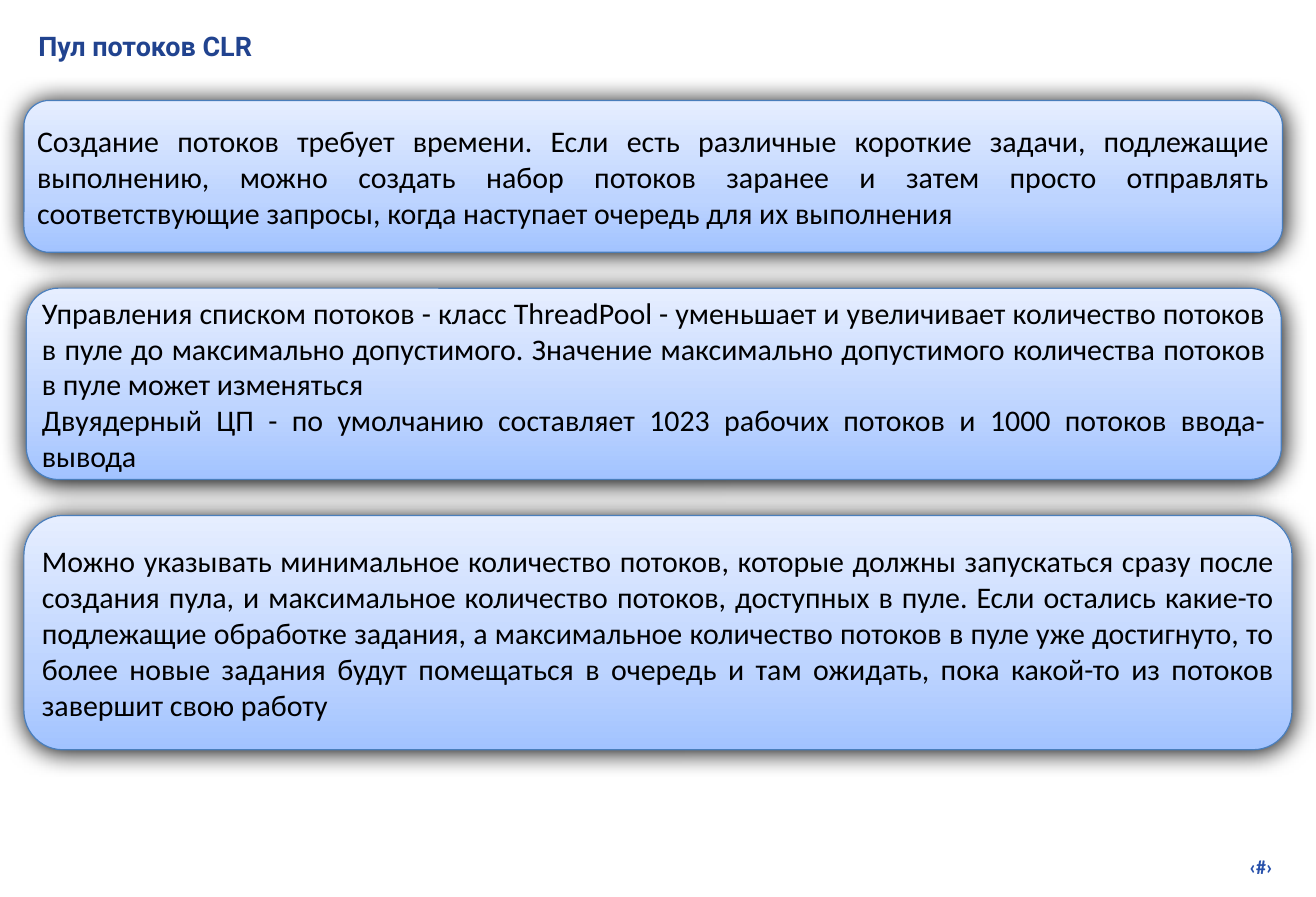
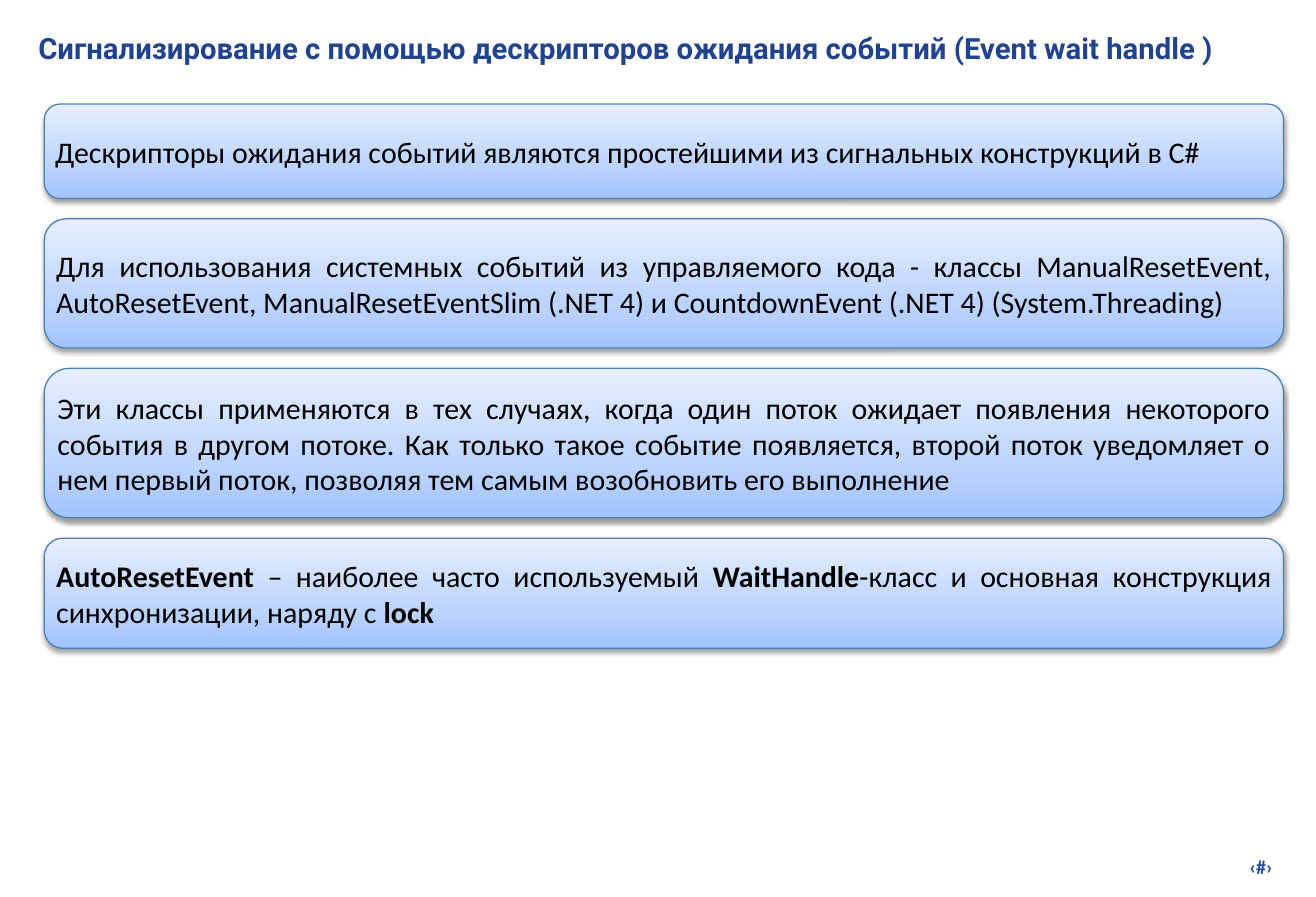
import pptx
import pptx.dml.color
import pptx.enum.shapes
import pptx.enum.text
import pptx.oxml
import pptx.oxml.ns
import pptx.util

PX = 9144  # EMU: 100 px to the inch
TITLE_COLOR = "21438F"
NUMBER_COLOR = "2750AB"
TEXT_COLOR = "000000"
CARD_LINE = "4A7EBB"
CARD_STOPS = [(0, "A2C3FF"), (35, "BDD4FF"), (100, "E6EEFF")]
CORNER = 0.167
CORNER_INSET = 0.049  # share of the card height kept clear at each side
LINE_HEIGHT = 31
PADDING = 5

# opacity in percent, blur and distance in points
WIDE_SHADOW = (100, 15, 0.7)
TIGHT_SHADOW = (38, 3, 1.6)

# Each card: left, width, height, number of text lines, paragraphs (** marks bold)
POOL_CARDS = [
    (20, 1052, 127, 3, [
        "Создание потоков требует времени. Если есть различные короткие задачи, "
        "подлежащие выполнению, можно создать набор потоков заранее и затем просто "
        "отправлять соответствующие запросы, когда наступает очередь для их выполнения"]),
    (22, 1049, 160, 5, [
        "Управления списком потоков - класс ThreadPool - уменьшает и увеличивает "
        "количество потоков в пуле до максимально допустимого. Значение максимально "
        "допустимого количества потоков в пуле может изменяться",
        "Двуядерный ЦП - по умолчанию составляет 1023 рабочих потоков и 1000 потоков "
        "ввода-вывода"]),
    (20, 1060, 196, 5, [
        "Можно указывать минимальное количество потоков, которые должны запускаться "
        "сразу после создания пула, и максимальное количество потоков, доступных в пуле. "
        "Если остались какие-то подлежащие обработке задания, а максимальное количество "
        "потоков в пуле уже достигнуто, то более новые задания будут помещаться в очередь "
        "и там ожидать, пока какой-то из потоков завершит свою работу"]),
]
EVENT_CARDS = [
    (37, 1036, 79, 1, [
        "Дескрипторы ожидания событий являются простейшими из сигнальных конструкций в C#"]),
    (37, 1036, 108, 2, [
        "Для использования системных событий из управляемого кода - классы "
        "ManualResetEvent, AutoResetEvent, ManualResetEventSlim (.NET 4) и "
        "CountdownEvent (.NET 4) (System.Threading)"]),
    (37, 1036, 125, 3, [
        "Эти классы применяются в тех случаях, когда один поток ожидает появления "
        "некоторого события в другом потоке. Как только такое событие появляется, второй "
        "поток уведомляет о нем первый поток, позволяя тем самым возобновить его выполнение"]),
    (37, 1036, 92, 2, [
        "**AutoResetEvent** – наиболее часто используемый **WaitHandle**-класс и основная "
        "конструкция синхронизации, наряду с **lock**"]),
]


def px(*lengths):
    return [pptx.util.Emu(round(length * PX)) for length in lengths]


def rgb(color):
    return pptx.dml.color.RGBColor.from_string(color)


def set_font(paragraph, name, size, color, bold=None):
    font = paragraph.font
    font.name = name
    font.size = pptx.util.Pt(size)
    font.color.rgb = rgb(color)
    font.bold = bold


def set_frame(frame, anchor):
    frame.word_wrap = True
    frame.auto_size = pptx.enum.text.MSO_AUTO_SIZE.NONE
    frame.vertical_anchor = anchor
    inset, = px(PADDING)
    frame.margin_left = frame.margin_right = inset
    frame.margin_top = frame.margin_bottom = inset


def add_title(slide, text, size):
    title = slide.shapes.title
    title.left, title.top, title.width, title.height = px(27, 20, 1050, 40)
    set_frame(title.text_frame, pptx.enum.text.MSO_ANCHOR.TOP)
    title.text_frame.text = text
    paragraph = title.text_frame.paragraphs[0]
    paragraph.alignment = pptx.enum.text.PP_ALIGN.LEFT
    set_font(paragraph, "Roboto", size, TITLE_COLOR, bold=True)


def add_layout_number(layout, slide):
    """Build the page mark on a slide, then move it to the layout all slides share."""
    box = slide.shapes.add_textbox(*px(836, 710, 233, 29))
    set_frame(box.text_frame, pptx.enum.text.MSO_ANCHOR.TOP)
    paragraph = box.text_frame.paragraphs[0]
    paragraph.text = "‹#›"
    paragraph.alignment = pptx.enum.text.PP_ALIGN.RIGHT
    set_font(paragraph, "Calibri", 12, NUMBER_COLOR, bold=True)
    box.element.xpath("./p:nvSpPr/p:cNvPr")[0].set("id", "20")
    layout.shapes.element.append(box.element)


def append_property(shape, xml):
    namespace = pptx.oxml.ns.nsdecls("a")
    shape.element.spPr.append(pptx.oxml.parse_xml(xml.replace(" ", f" {namespace} ", 1)))


def style_card(card, shadow):
    stops = "".join(
        f'<a:gs pos="{position * 1000}"><a:srgbClr val="{color}"/></a:gs>'
        for position, color in CARD_STOPS)
    append_property(card, f'<a:gradFill rotWithShape="1"><a:gsLst>{stops}</a:gsLst>'
                          '<a:lin ang="16200000" scaled="0"/></a:gradFill>')
    card.line.color.rgb = rgb(CARD_LINE)
    card.line.width = pptx.util.Pt(0.75)
    opacity, blur, distance = shadow
    append_property(card, f'<a:effectLst ><a:outerShdw blurRad="{pptx.util.Pt(blur)}" '
                          f'dist="{pptx.util.Pt(distance)}" dir="5400000" rotWithShape="0">'
                          f'<a:srgbClr val="000000"><a:alpha val="{opacity * 1000}"/>'
                          '</a:srgbClr></a:outerShdw></a:effectLst>')


def add_paragraph_text(paragraph, text):
    paragraph.alignment = pptx.enum.text.PP_ALIGN.JUSTIFY
    set_font(paragraph, "Calibri", 18, TEXT_COLOR)
    for index, part in enumerate(text.split("**")):
        if part:
            span = paragraph.add_run()
            span.text = part
            if index % 2:
                span.font.bold = True


def add_card(slide, left, top, width, height, lines, texts, shadow):
    """Group a rounded card with its text, centred vertically in it."""
    group = slide.shapes.add_group_shape()
    card = group.shapes.add_shape(pptx.enum.shapes.MSO_SHAPE.ROUNDED_RECTANGLE,
                                  *px(left, top, width, height))
    card.adjustments[0] = CORNER
    style_card(card, shadow)

    inset = round(height * CORNER_INSET)
    text_height = lines * LINE_HEIGHT + 2 * PADDING
    box = group.shapes.add_textbox(*px(left + inset, top + (height - text_height) / 2,
                                       width - 2 * inset, text_height))
    frame = box.text_frame
    set_frame(frame, pptx.enum.text.MSO_ANCHOR.MIDDLE)
    for index, text in enumerate(texts):
        paragraph = frame.add_paragraph() if index else frame.paragraphs[0]
        add_paragraph_text(paragraph, text)


def add_card_stack(slide, cards, top, gap, shadow):
    for left, width, height, lines, texts in cards:
        add_card(slide, left, top, width, height, lines, texts, shadow)
        top += height + gap


def main():
    deck = pptx.Presentation()
    deck.slide_width, deck.slide_height = px(1100, 750)
    layout = deck.slide_layouts.get_by_name("Title Only")

    pool = deck.slides.add_slide(layout)
    add_layout_number(layout, pool)
    add_title(pool, "Пул потоков CLR", 16.2)
    add_card_stack(pool, POOL_CARDS, top=84, gap=30, shadow=WIDE_SHADOW)

    events = deck.slides.add_slide(layout)
    add_title(events, "Сигнализирование с помощью дескрипторов ожидания событий "
                      "(Event wait handle )", 17.6)
    add_card_stack(events, EVENT_CARDS, top=87, gap=17, shadow=TIGHT_SHADOW)

    deck.save("out.pptx")


if __name__ == "__main__":
    main()
